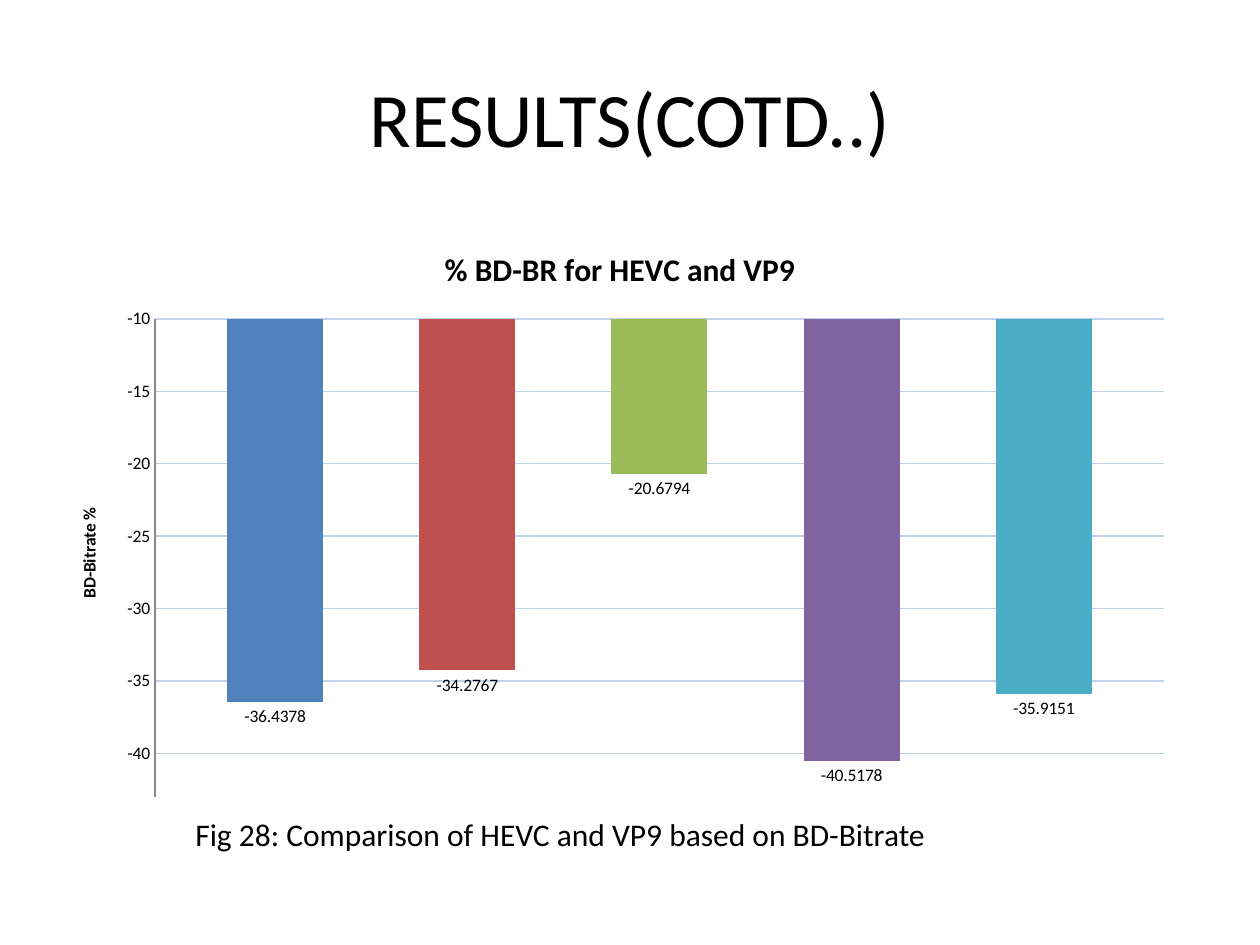
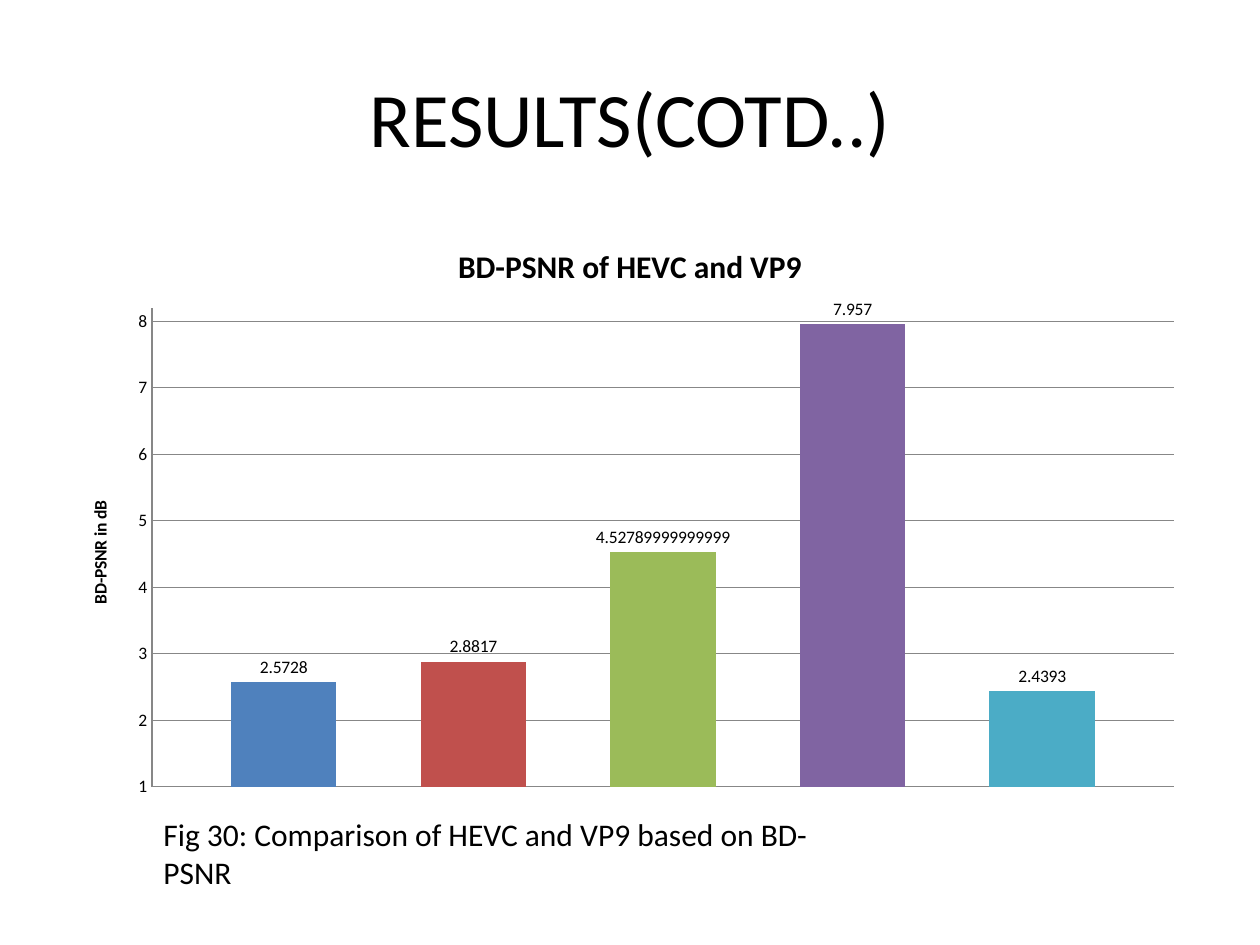
from lxml import etree
from pptx import Presentation, util as u
from pptx.chart.data import CategoryChartData
from pptx.dml.color import RGBColor
from pptx.enum import chart as ch, text

PX = 914400 / 126
FONT = "Calibri"
BLACK, WHITE, AXIS_GREY = "000000", "FFFFFF", "878787"
SEQUENCE_COLORS = ["4F81BD", "C0504D", "9BBB59", "8064A2", "4BACC6"]

RESULTS = [
    dict(heading="% BD-BR for HEVC and VP9", measure="BD-Bitrate %",
         caption="Fig 28: Comparison of HEVC and VP9 based on BD-Bitrate",
         caption_box=(183, 809, 755, 88), frame=(53, 223, 1134, 586),
         bars=(155, 319, 1009, 478), limits=(-43, -10, 5), overlap=-100,
         grid="C1D1EC", values=[-36.4378, -34.2767, -20.6794, -40.5178, -35.9151]),
    dict(heading="BD-PSNR of HEVC and VP9", measure="BD-PSNR in dB",
         caption="Fig 30: Comparison of HEVC and VP9 based on BD-PSNR",
         caption_box=(151, 809, 737, 88), frame=(63, 220, 1134, 588),
         bars=(152, 308, 1022, 479), limits=(1, 8.2, 1), overlap=-80,
         grid=AXIS_GREY, values=[2.5728, 2.8817, 4.52789999999999, 7.957, 2.4393]),
]


def paint(target, color):
    target.solid()
    target.fore_color.rgb = RGBColor.from_string(color)


def write(frame, words, size, bold=False, align=None):
    frame.text = words
    paragraph = frame.paragraphs[0]
    paragraph.alignment = align
    font = paragraph.runs[0].font
    font.name, font.size, font.bold = FONT, u.Pt(size), bold
    paint(font.fill, BLACK)


deck = Presentation()
deck.slide_width, deck.slide_height = u.Inches(10), u.Inches(7.5)

for result in RESULTS:
    slide = deck.slides.add_slide(deck.slide_layouts[5])
    paint(slide.background.fill, WHITE)

    title = slide.shapes.title
    title.left, title.top, title.width, title.height = [round(n * PX) for n in (63, 38, 1134, 158)]
    write(title.text_frame, "RESULTS(COTD..)", 44, align=text.PP_ALIGN.CENTER)
    title.text_frame.vertical_anchor = text.MSO_ANCHOR.MIDDLE

    caption = slide.shapes.add_textbox(*[round(n * PX) for n in result["caption_box"]]).text_frame
    write(caption, result["caption"], 18)
    caption.word_wrap = False
    caption.auto_size = text.MSO_AUTO_SIZE.SHAPE_TO_FIT_TEXT

    data = CategoryChartData()
    data.categories = ["1"]
    for number, value in enumerate(result["values"], 1):
        data.add_series(f"Series {number}", [value])
    chart = slide.shapes.add_chart(
        ch.XL_CHART_TYPE.COLUMN_CLUSTERED,
        *[round(n * PX) for n in result["frame"]], data).chart
    chart.has_legend = False
    chart.font.name, chart.font.size = "Arial", u.Pt(10)
    paint(chart.font.fill, BLACK)
    write(chart.chart_title.text_frame, result["heading"], 18, bold=True)
    chart.chart_title.include_in_layout = False

    chart.category_axis.visible = False
    measure = chart.value_axis
    measure.minimum_scale, measure.maximum_scale, measure.major_unit = result["limits"]
    measure.major_tick_mark = measure.minor_tick_mark = ch.XL_TICK_MARK.NONE
    measure.tick_labels.number_format = "General"
    measure.tick_labels.number_format_is_linked = False
    measure.tick_labels.font.name, measure.tick_labels.font.size = FONT, u.Pt(10)
    paint(measure.tick_labels.font.fill, BLACK)
    write(measure.axis_title.text_frame, result["measure"], 10, bold=True)
    for line, color in ((measure.format.line, AXIS_GREY),
                        (measure.major_gridlines.format.line, result["grid"])):
        line.width = u.Pt(0.75)
        paint(line.fill, color)

    plot = chart.plots[0]
    plot.gap_width, plot.overlap, plot.vary_by_categories = 150, result["overlap"], False
    for series, color in zip(plot.series, SEQUENCE_COLORS):
        series.invert_if_negative = False
        paint(series.format.fill, color)
        labels = series.data_labels
        labels.show_value = True
        labels.position = ch.XL_LABEL_POSITION.OUTSIDE_END
        labels.number_format, labels.number_format_is_linked = "General", False
        labels.font.name, labels.font.size = FONT, u.Pt(10)
        paint(labels.font.fill, BLACK)

    left, top, width, height = result["frame"]
    x, y, w, h = result["bars"]
    settings = [("layoutTarget", "inner"), ("xMode", "edge"), ("yMode", "edge"),
                ("x", (x - left) / width), ("y", (y - top) / height),
                ("w", w / width), ("h", h / height)]
    area = chart.element.chart.plotArea
    space = "{" + area.nsmap["c"] + "}"
    for old in area.findall(space + "layout"):
        area.remove(old)
    layout = etree.Element(space + "layout")
    area.insert(0, layout)
    manual = etree.SubElement(layout, space + "manualLayout")
    for tag, setting in settings:
        etree.SubElement(manual, space + tag).set("val", str(setting))

deck.save("out.pptx")
